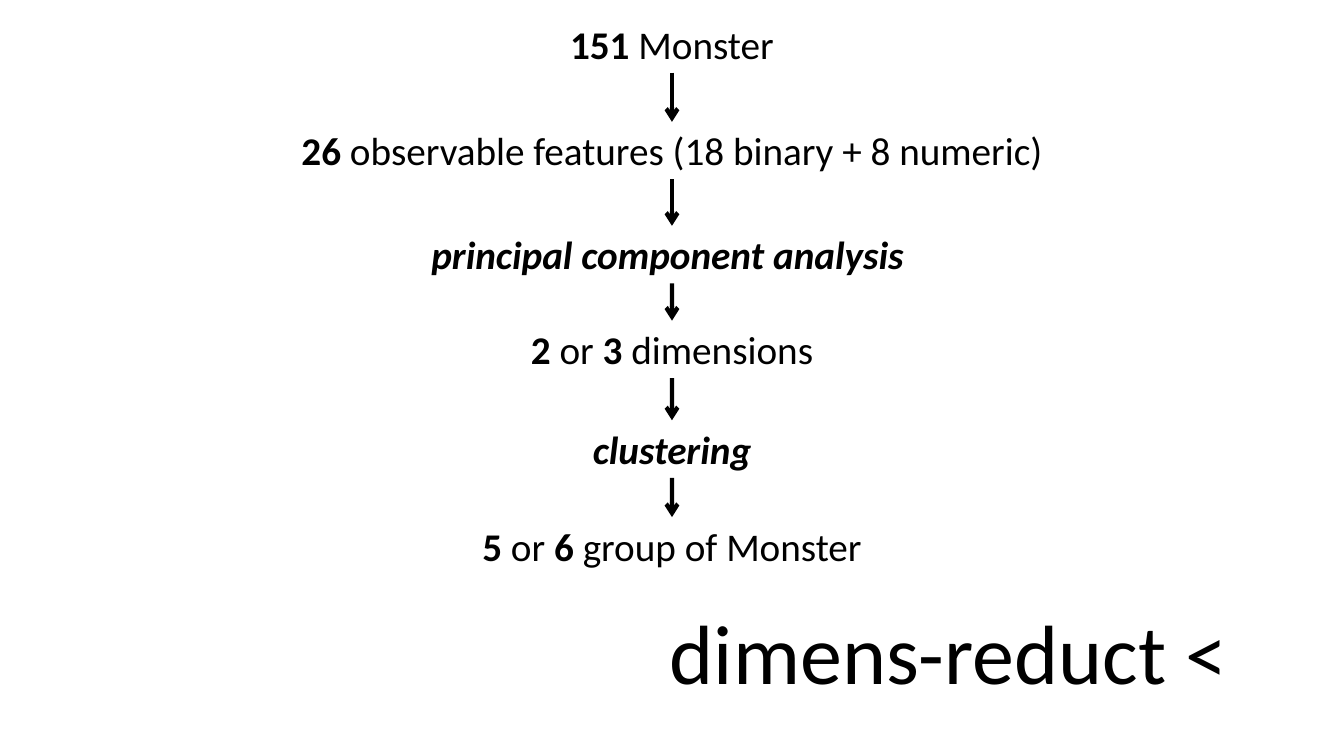
from lxml.etree import SubElement as Sub
from pptx import Presentation
from pptx.dml.color import RGBColor
from pptx.enum.shapes import MSO_CONNECTOR as Link
from pptx.enum.text import MSO_ANCHOR as Anchor, MSO_AUTO_SIZE as Auto, PP_ALIGN as Align
from pptx.oxml.ns import qn
from pptx.util import Cm, Pt

BLACK = RGBColor(0, 0, 0)
WIDE, HIGH = 33.87, 19.05
ROW = 1.45


def write(frame, runs, size=28, align=Align.CENTER, fit=Auto.SHAPE_TO_FIT_TEXT):
    """Fill a frame with (text, style) runs; style holds b and/or i."""
    frame.word_wrap = True
    frame.auto_size = fit
    para = frame.paragraphs[0]
    para.alignment = align
    for text, style in runs:
        run = para.add_run()
        run.text = text
        font = run.font
        font.name, font.size = "Calibri", Pt(size)
        font.bold, font.italic = "b" in style, "i" in style
        font.color.rgb = BLACK


deck = Presentation()
deck.slide_width, deck.slide_height = Cm(WIDE), Cm(HIGH)
slide = deck.slides.add_slide(deck.slide_layouts[5])

# Title at the lower right
title = slide.shapes.title
title.left, title.top = Cm(8.66), Cm(15.54)
title.width, title.height = Cm(22.53), Cm(2.03)
write(title.text_frame, [("dimens-reduct <", "")], size=60, align=Align.RIGHT, fit=Auto.NONE)
title.text_frame.vertical_anchor = Anchor.MIDDLE
title.text_frame.paragraphs[0].line_spacing = 0.9

# Steps of the flow: top, width, runs
steps = [
    (0.38, 7.42, [("151", "b"), (" Monster", "")]),
    (3.07, 20.19, [("26", "b"), (" observable features (18 binary + 8 numeric)", "")]),
    (5.69, 14.3, [("principal component analysis ", "bi")]),
    (8.08, 9.27, [("2 ", "b"), ("or", ""), (" 3", "b"), (" dimensions", "")]),
    (10.59, 6.55, [("clustering", "bi")]),
    (13.03, 15.9, [("5", "b"), (" or ", ""), ("6", "b"), (" group of Monster", "")]),
]
boxes = []
for top, width, runs in steps:
    box = slide.shapes.add_textbox(Cm((WIDE - width) / 2), Cm(top), Cm(width), Cm(ROW))
    write(box.text_frame, runs)
    boxes.append(box)

# Arrows from each step to the next
for upper, lower in zip(boxes, boxes[1:]):
    arrow = slide.shapes.add_connector(Link.STRAIGHT, 0, 0, 0, 0)
    arrow.begin_connect(upper, 2)
    arrow.end_connect(lower, 0)
    arrow.line.color.rgb = BLACK
    arrow.line.width = Pt(3)
    Sub(arrow.line._get_or_add_ln(), qn("a:tailEnd"), type="arrow")
    Sub(arrow._element.spPr, qn("a:effectLst"))

deck.save("out.pptx")
